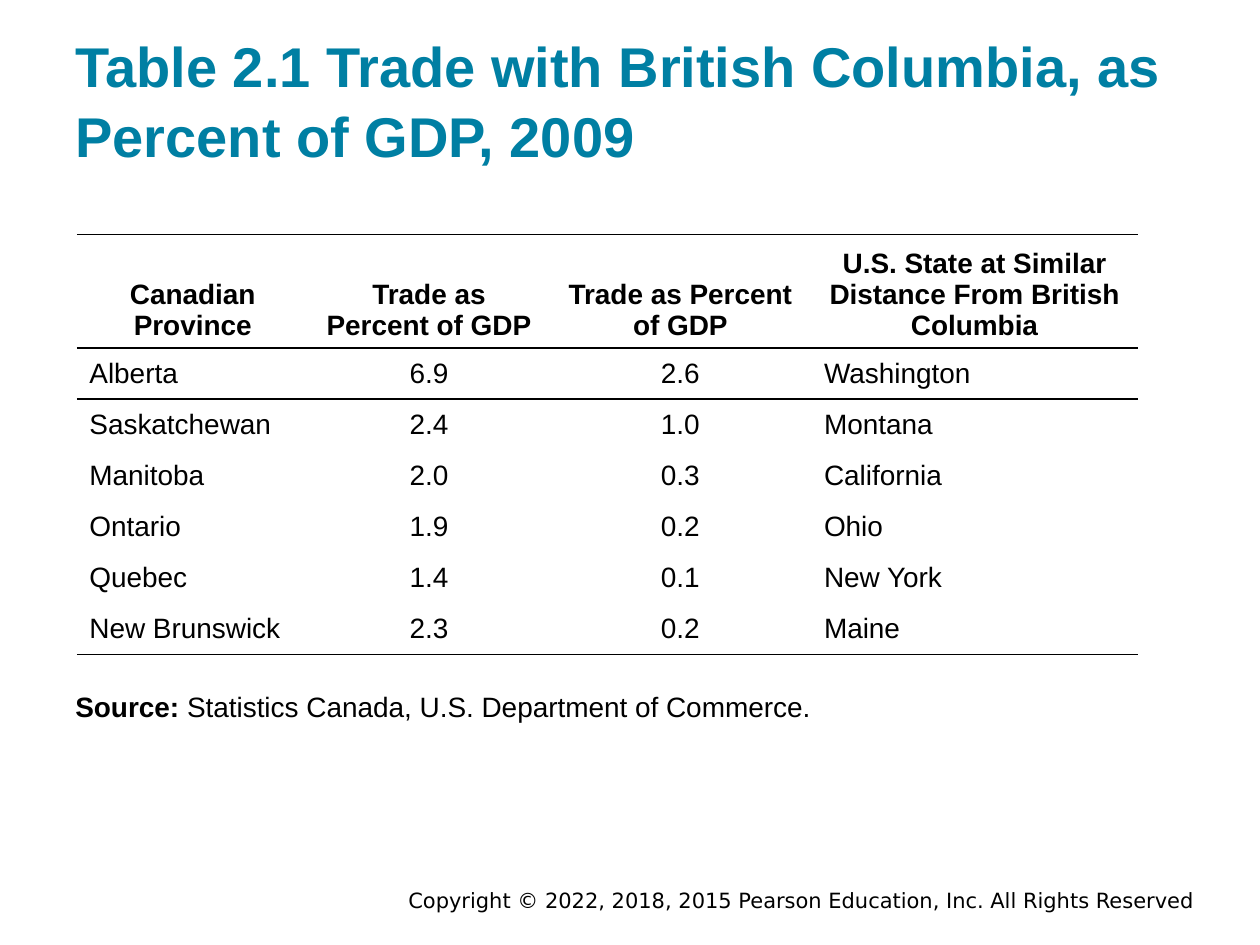
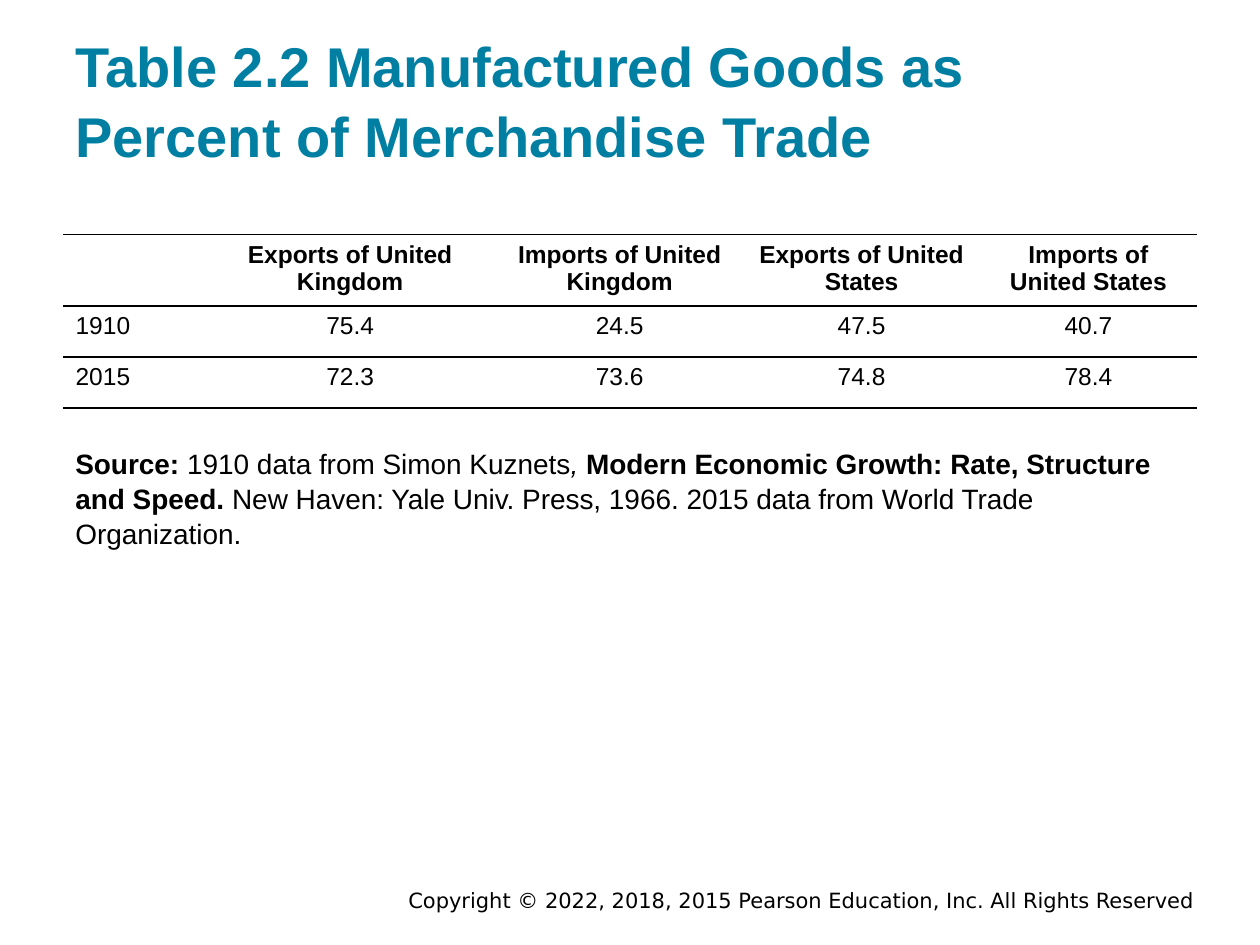
from dataclasses import dataclass

import pptx
import pptx.dml.color
import pptx.enum.text
import pptx.oxml
import pptx.oxml.ns
import pptx.slide
import pptx.table
import pptx.text.text
import pptx.util

Pt = pptx.util.Pt
Align = pptx.enum.text.PP_ALIGN
Anchor = pptx.enum.text.MSO_ANCHOR

TEAL = pptx.dml.color.RGBColor(0x00, 0x7F, 0xA3)
BLACK = pptx.dml.color.RGBColor(0x00, 0x00, 0x00)
FONT = "Arial"
LEFT = 36
ROW = 29.2
NO_STYLE = "{2D5ABB26-0587-4C30-8999-92F81FD0307C}"
FOOTER = "Copyright © 2022, 2018, 2015 Pearson Education, Inc. All Rights Reserved"


@dataclass(frozen=True)
class Style:
    size: float
    color: pptx.dml.color.RGBColor = BLACK
    bold: bool | None = None
    face: str = FONT
    align: Align = Align.LEFT
    lead: float = 1.0


@dataclass(frozen=True)
class Box:
    left: float
    top: float
    width: float
    height: float
    inset: float = 7.2
    anchor: Anchor = Anchor.TOP


@dataclass(frozen=True)
class Run:
    text: str
    bold: bool = False
    italic: bool = False


@dataclass(frozen=True)
class Grid:
    left: float
    widths: list[float]
    head: float
    size: float
    rows: list[list[str]]
    centred: set[int]
    head_anchor: Anchor
    body_anchor: Anchor


@dataclass(frozen=True)
class Page:
    title: str
    title_width: float
    grid: Grid
    source: list[Run]
    source_box: Box


TITLE = Style(32, TEAL, True, lead=1.05)
SOURCE = Style(16, lead=1.05)
NOTICE = Style(12, face="DejaVu Sans", align=Align.RIGHT)
NOTICE_BOX = Box(126, 506.2, 563.8, 15.8, 3.6, Anchor.MIDDLE)

PAGES = [
    Page(
        "Table 2.1 Trade with British Columbia, as Percent of GDP, 2009",
        635,
        Grid(
            43.9, [132.5, 137.5, 149.8, 186.5], 60.6, 16,
            [
                ["Canadian Province", "Trade as Percent of GDP", "Trade as Percent of GDP",
                 "U.S. State at Similar Distance From British Columbia"],
                ["Alberta", "6.9", "2.6", "Washington"],
                ["Saskatchewan", "2.4", "1.0", "Montana"],
                ["Manitoba", "2.0", "0.3", "California"],
                ["Ontario", "1.9", "0.2", "Ohio"],
                ["Quebec", "1.4", "0.1", "New York"],
                ["New Brunswick", "2.3", "0.2", "Maine"],
            ],
            {1, 2}, Anchor.BOTTOM, Anchor.MIDDLE,
        ),
        [Run("Source:", bold=True), Run(" Statistics Canada, U.S. Department of Commerce.")],
        Box(LEFT, 386, 471, 32.4),
    ),
    Page(
        "Table 2.2 Manufactured Goods as Percent of Merchandise Trade",
        648,
        Grid(
            LEFT, [80.6, 167, 141.1, 135.4, 123.9], 38.9, 14,
            [
                ["", "Exports of United Kingdom", "Imports of United Kingdom",
                 "Exports of United States", "Imports of United States"],
                ["1910", "75.4", "24.5", "47.5", "40.7"],
                ["2015", "72.3", "73.6", "74.8", "78.4"],
            ],
            {1, 2, 3, 4}, Anchor.TOP, Anchor.TOP,
        ),
        [
            Run("Source: ", bold=True),
            Run("1910 data from Simon Kuznets"),
            Run(", ", italic=True),
            Run("Modern Economic Growth: Rate, Structure and Speed. ", bold=True),
            Run("New Haven: Yale Univ. Press, 1966. 2015 data from World Trade Organization."),
        ],
        Box(LEFT, 247, 648, 71.3),
    ),
]


def format_text(para: pptx.text.text._Paragraph, style: Style) -> None:
    para.alignment = style.align
    para.line_spacing = style.lead
    font = para.font
    font.name, font.size, font.bold = style.face, Pt(style.size), style.bold
    font.color.rgb = style.color


def add_text(slide: pptx.slide.Slide, box: Box, style: Style) -> pptx.text.text._Paragraph:
    """Add a styled text box and return its empty paragraph."""
    shape = slide.shapes.add_textbox(Pt(box.left), Pt(box.top), Pt(box.width), Pt(box.height))
    frame = shape.text_frame
    frame.word_wrap = True
    frame.vertical_anchor = box.anchor
    frame.margin_left = frame.margin_right = Pt(7.2)
    frame.margin_top = frame.margin_bottom = Pt(box.inset)
    para = frame.paragraphs[0]
    format_text(para, style)
    return para


def add_rule(cell: pptx.table._Cell, sides: list[str]) -> None:
    """Draw black borders on the given sides, listed top before bottom."""
    props = cell._tc.get_or_add_tcPr()
    for place, side in enumerate(sides):
        line = pptx.oxml.parse_xml(
            f'<a:{side} {pptx.oxml.ns.nsdecls("a")} w="{Pt(1)}"><a:solidFill>'
            f'<a:srgbClr val="{BLACK}"/></a:solidFill></a:{side}>'
        )
        props.insert(place, line)


def add_grid(slide: pptx.slide.Slide, grid: Grid) -> None:
    last = len(grid.rows) - 1
    frame = slide.shapes.add_table(
        len(grid.rows), len(grid.widths), Pt(grid.left), Pt(134),
        Pt(sum(grid.widths)), Pt(grid.head + last * ROW),
    )
    table = frame.table
    table.first_row = table.horz_banding = False
    table._tbl.tblPr.find(pptx.oxml.ns.qn("a:tableStyleId")).text = NO_STYLE
    for column, width in zip(table.columns, grid.widths):
        column.width = Pt(width)
    for i, texts in enumerate(grid.rows):
        table.rows[i].height = Pt(ROW if i else grid.head)
        sides = ["lnT"] * (i <= 1) + ["lnB"] * (i in (0, last))
        for j, text in enumerate(texts):
            cell = table.cell(i, j)
            cell.text = text
            cell.vertical_anchor = grid.body_anchor if i else grid.head_anchor
            cell.fill.background()
            align = Align.CENTER if i == 0 or j in grid.centred else Align.LEFT
            style = Style(grid.size, bold=i == 0, align=align)
            format_text(cell.text_frame.paragraphs[0], style)
            add_rule(cell, sides)


def add_page(deck: pptx.presentation.Presentation, page: Page) -> None:
    slide = deck.slides.add_slide(deck.slide_layouts[6])
    add_text(slide, NOTICE_BOX, NOTICE).add_run().text = FOOTER
    title_box = Box(LEFT, 17.3, page.title_width, 86.4, anchor=Anchor.BOTTOM)
    add_text(slide, title_box, TITLE).add_run().text = page.title
    add_grid(slide, page.grid)
    para = add_text(slide, page.source_box, SOURCE)
    for part in page.source:
        run = para.add_run()
        run.text = part.text
        run.font.bold, run.font.italic = part.bold, part.italic


def main() -> None:
    deck = pptx.Presentation()
    deck.slide_width, deck.slide_height = Pt(720), Pt(540)
    for page in PAGES:
        add_page(deck, page)
    deck.save("out.pptx")


if __name__ == "__main__":
    main()
